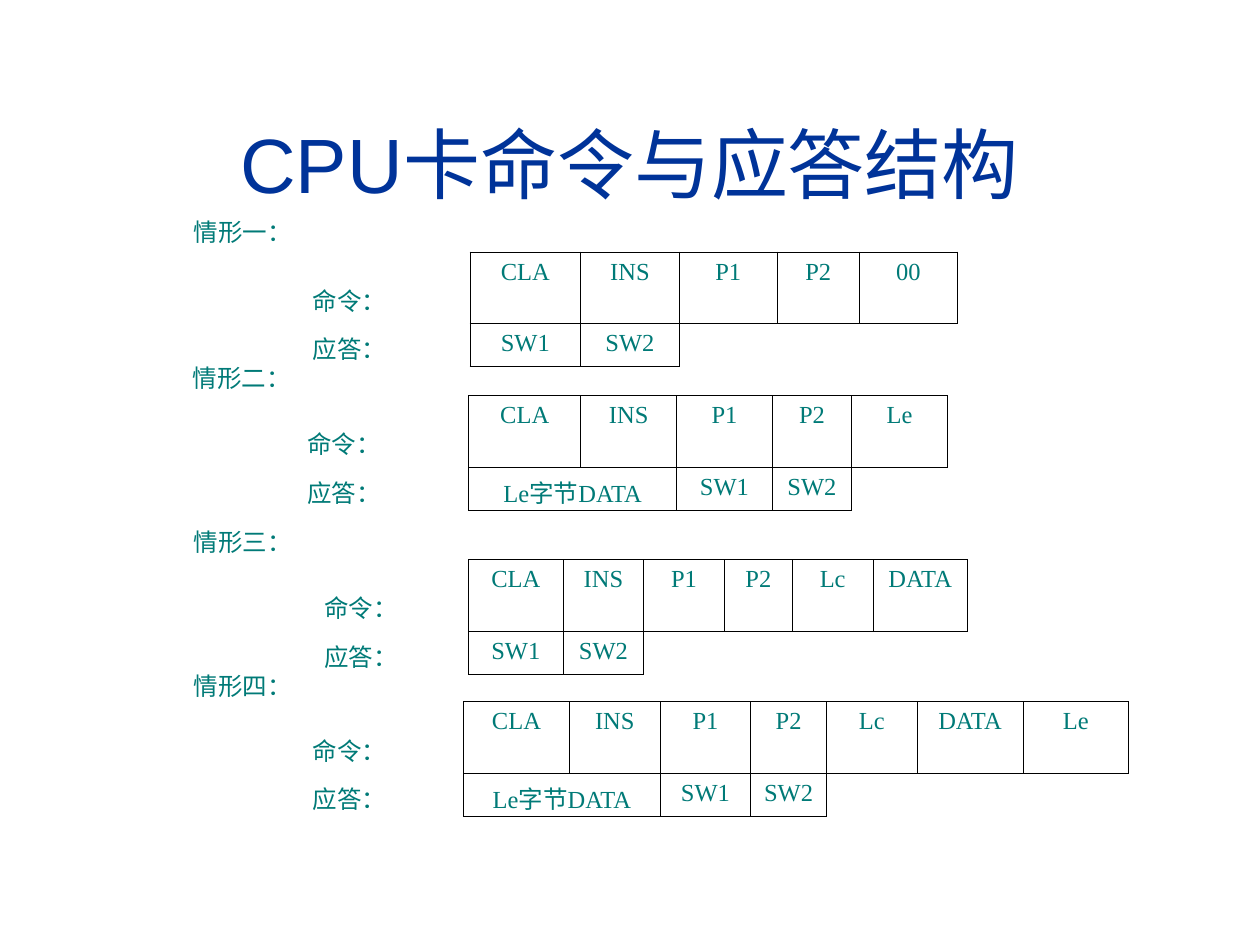
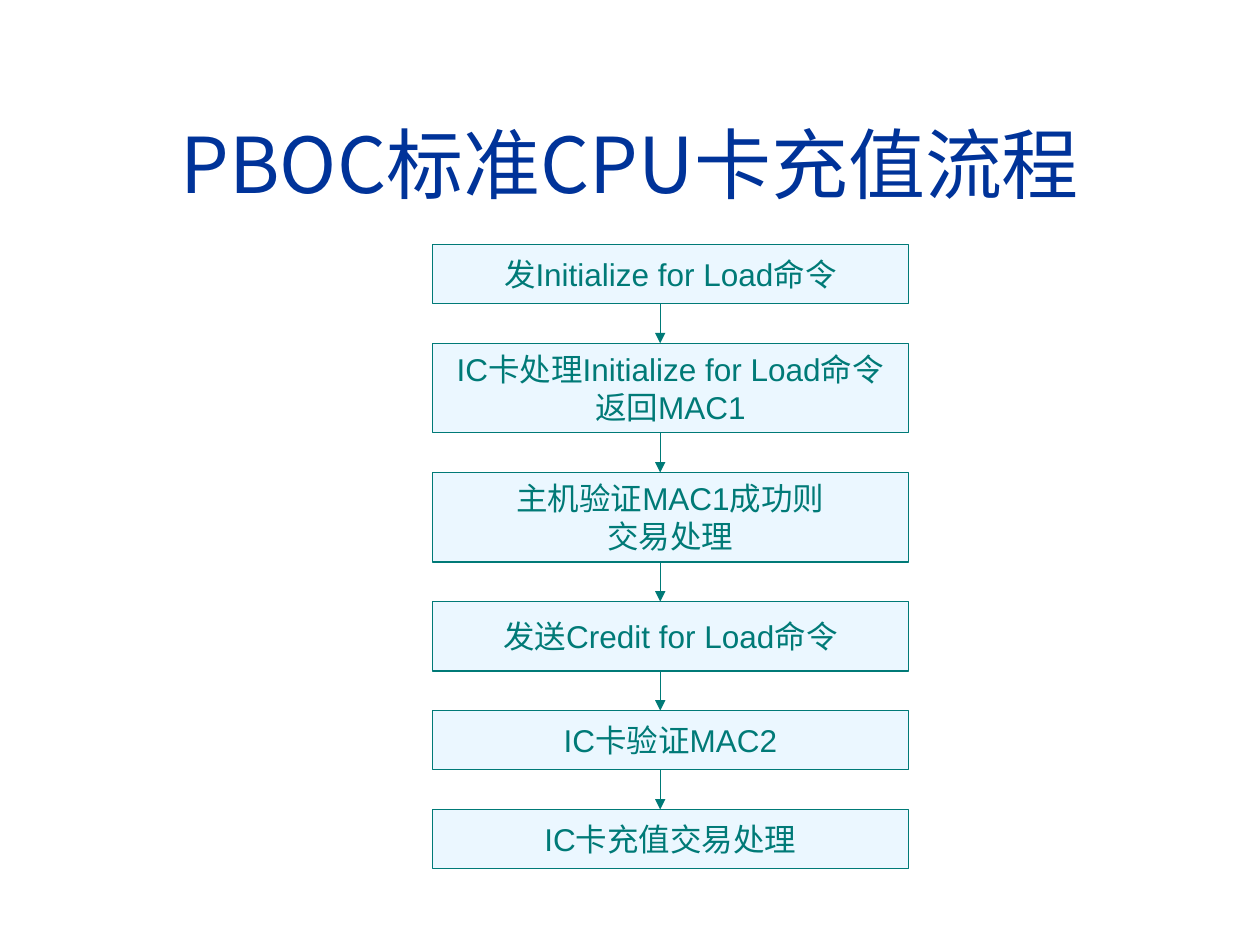
from dataclasses import dataclass
from pptx import Presentation
from pptx.dml.color import RGBColor as RGB
from pptx.enum.shapes import MSO_CONNECTOR as Link, MSO_SHAPE as Form
from pptx.enum.text import MSO_ANCHOR as Anchor, MSO_AUTO_SIZE as Fit, PP_ALIGN as Align
from pptx.oxml.ns import qn
from pptx.util import Inches, Pt
from lxml.etree import SubElement


@dataclass(frozen=True)
class Theme:
    navy: str = "003399"
    teal: str = "007A77"
    pale: str = "EBF7FF"
    black: str = "000000"
    sans: str = "Arial"
    serif: str = "Times New Roman"
    cjk: str = "Noto Sans CJK SC"
    title: int = 44
    step: int = 18
    cell: int = 14
    rule: float = 0.74
    grid: float = 0.45


T = Theme()

# Content: the four command and reply cases
CASES = [
    dict(name="情形一：", label=(1.44, 1.67), at=(1.77, 2.0), nudge=0.05,
         cols=(1.96, 0.88, 0.78, 0.78, 0.65, 0.78),
         ask=("CLA", "INS", "P1", "P2", "00"), reply=("SW1", "SW2")),
    dict(name="情形二：", label=(1.43, 2.83), at=(1.69, 3.14), nudge=0.05,
         cols=(2.03, 0.89, 0.76, 0.76, 0.63, 0.76),
         ask=("CLA", "INS", "P1", "P2", "Le"),
         reply=("Le字节DATA", None, "SW1", "SW2")),
    dict(name="情形三：", label=(1.44, 4.13), at=(2.01, 4.44), nudge=0,
         cols=(1.71, 0.75, 0.64, 0.64, 0.54, 0.64, 0.75),
         ask=("CLA", "INS", "P1", "P2", "Lc", "DATA"), reply=("SW1", "SW2")),
    dict(name="情形四：", label=(1.44, 5.27), at=(1.77, 5.57), nudge=0.1,
         cols=(1.91, 0.84, 0.72, 0.72, 0.6, 0.72, 0.84, 0.84),
         ask=("CLA", "INS", "P1", "P2", "Lc", "DATA", "Le"),
         reply=("Le字节DATA", None, "SW1", "SW2")),
]
HEADS = ("命令：", "应答：")
ROWS = (0.57, 0.34)

# Content: the load flow, each step with its box height
STEPS = [
    ("发Initialize for Load命令", 0.47),
    ("IC卡处理Initialize for Load命令\n返回MAC1", 0.71),
    ("主机验证MAC1成功则\n交易处理", 0.71),
    ("发送Credit for Load命令", 0.55),
    ("IC卡验证MAC2", 0.47),
    ("IC卡充值交易处理", 0.47),
]
LEFT, TOP, WIDE, GAP, AXIS = 3.43, 1.94, 3.78, 0.315, 5.24


# Shared helpers
def style(frame, size, color, font, align=Align.CENTER):
    for para in frame.paragraphs:
        para.alignment = align
        for run in para.runs:
            run.font.size = Pt(size)
            run.font.bold = False
            run.font.name = font
            run.font.color.rgb = RGB.from_string(color)
            east = SubElement(run.font._element, qn("a:ea"))
            east.set("typeface", T.cjk)


def add_page(deck, text, font):
    page = deck.slides.add_slide(deck.slide_layouts[5])
    head = page.shapes.title
    head.left, head.top = Inches(0.33), Inches(0.67)
    head.width, head.height = Inches(9.34), Inches(1.25)
    frame = head.text_frame
    frame.text = text
    frame.auto_size = Fit.NONE
    frame.vertical_anchor = Anchor.MIDDLE
    style(frame, T.title, T.navy, font)
    return page


def edge(cell, sides):
    props = cell._tc.get_or_add_tcPr()
    for side in "LRTB":
        line = SubElement(props, qn("a:ln" + side), w=str(Pt(T.grid)))
        if side in sides:
            fill = SubElement(line, qn("a:solidFill"))
            SubElement(fill, qn("a:srgbClr"), val=T.black)
        else:
            SubElement(line, qn("a:noFill"))
    cell.fill.background()


def add_case(page, case):
    # Case name
    x, y = case["label"]
    box = page.shapes.add_textbox(Inches(x), Inches(y), Inches(0.98), Inches(0.34))
    frame = box.text_frame
    frame.text = case["name"]
    frame.word_wrap = False
    frame.vertical_anchor = Anchor.MIDDLE
    style(frame, T.cell, T.teal, T.serif, Align.LEFT)

    # Byte table
    cols = case["cols"]
    x, y = case["at"]
    grid = page.shapes.add_table(len(ROWS), len(cols), Inches(x), Inches(y),
                                 Inches(sum(cols)), Inches(sum(ROWS))).table
    grid.first_row = grid.horz_banding = False
    for col, width in zip(grid.columns, cols):
        col.width = Inches(width)
    for r, (head, data) in enumerate(zip(HEADS, (case["ask"], case["reply"]))):
        grid.rows[r].height = Inches(ROWS[r])
        texts = (head, *data)
        for c in range(len(cols)):
            cell = grid.cell(r, c)
            text = texts[c] if c < len(texts) else None
            if text:
                cell.text = text
                style(cell.text_frame, T.cell, T.teal, T.serif)
            else:
                cell.margin_top = cell.margin_bottom = 0
            if c == 0:
                cell.margin_left = Inches(0.1 + case["nudge"])
                cell.vertical_anchor = Anchor.BOTTOM if r == 0 else Anchor.TOP
                edge(cell, "R")
            elif c < len(texts):
                edge(cell, "LRTB")
            else:
                edge(cell, "LT" if c == len(texts) else "T")

    # Joined cells: the data field and the unused tail
    if None in case["reply"]:
        grid.cell(1, 1).merge(grid.cell(1, 2))
    tail, last = len(case["reply"]) + 1, len(cols) - 1
    if tail < last:
        grid.cell(1, tail).merge(grid.cell(1, last))


def add_step(page, text, y, high):
    box = page.shapes.add_shape(Form.RECTANGLE, Inches(LEFT), Inches(y),
                                Inches(WIDE), Inches(high))
    box.shadow.inherit = False
    box.fill.solid()
    box.fill.fore_color.rgb = RGB.from_string(T.pale)
    box.line.color.rgb = RGB.from_string(T.teal)
    box.line.width = Pt(T.rule)
    frame = box.text_frame
    frame.text = text
    frame.word_wrap = False
    frame.vertical_anchor = Anchor.MIDDLE
    style(frame, T.step, T.teal, T.sans)


def add_arrow(page, start, end):
    link = page.shapes.add_connector(Link.STRAIGHT, Inches(AXIS), Inches(start),
                                     Inches(AXIS), Inches(end))
    link.line.color.rgb = RGB.from_string(T.teal)
    link.line.width = Pt(T.rule)
    SubElement(link.line._get_or_add_ln(), qn("a:tailEnd"), type="triangle")
    SubElement(link._element.spPr, qn("a:effectLst"))


deck = Presentation()
deck.slide_width, deck.slide_height = Inches(10), Inches(7.5)

# Slide 1: command and reply structure
page = add_page(deck, "CPU卡命令与应答结构", T.sans)
for case in CASES:
    add_case(page, case)

# Slide 2: load flow, stacked with equal gaps
page = add_page(deck, "PBOC标准CPU卡充值流程", T.cjk)
y = TOP
for i, (text, high) in enumerate(STEPS):
    if i:
        add_arrow(page, y - GAP, y)
    add_step(page, text, y, high)
    y += high + GAP

deck.save("out.pptx")
